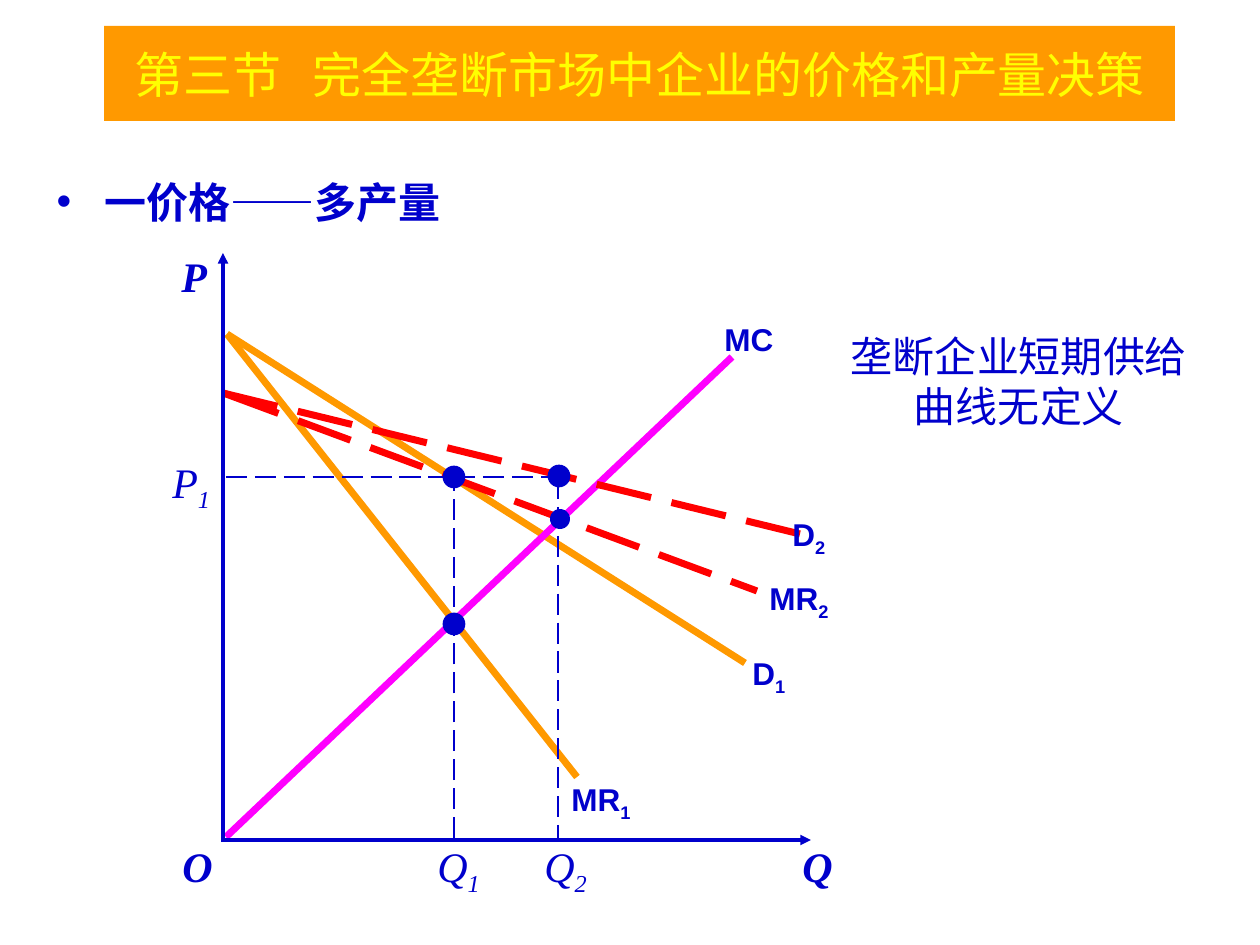
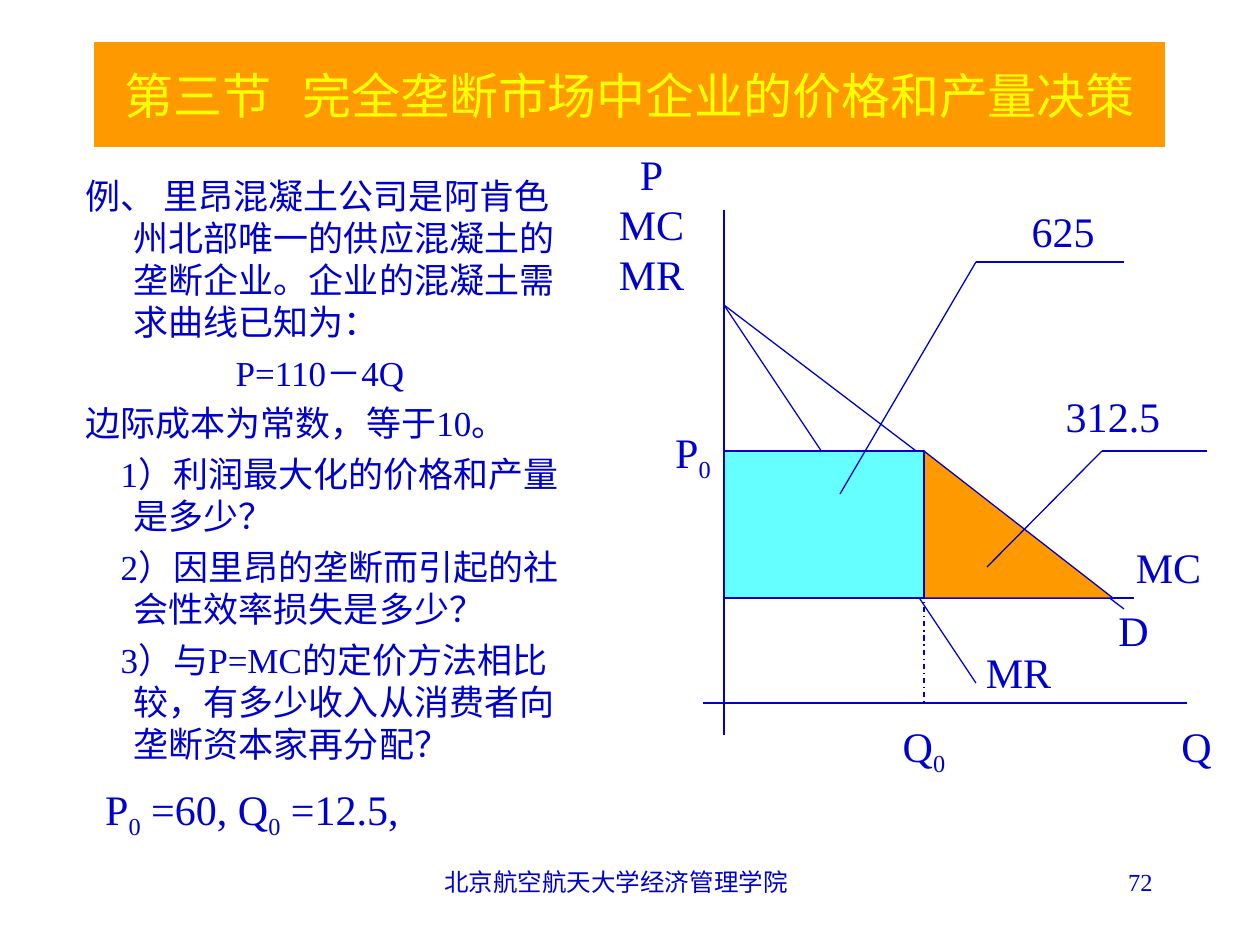
from dataclasses import dataclass
from itertools import pairwise
from typing import NamedTuple

from lxml import etree
from pptx import Presentation
from pptx.dml.color import RGBColor
from pptx.enum import dml, shapes, text
from pptx.oxml import ns
from pptx.util import Emu, Pt

EMU_PER_PX = 914400 / 126
LEFT, CENTER, RIGHT = text.PP_ALIGN.LEFT, text.PP_ALIGN.CENTER, text.PP_ALIGN.RIGHT
LONG_DASH, DASH_DOT = dml.MSO_LINE.LONG_DASH, dml.MSO_LINE.DASH_DOT


@dataclass(frozen=True)
class Theme:
    ink: str = "0000CC"
    band: str = "FF9900"
    heading: str = "FFFF00"
    shifted: str = "FF0000"
    cost: str = "FF00FF"
    profit: str = "66FFFF"
    serif: str = "Times New Roman"
    sans: str = "Arial"
    title_size: int = 28
    large: int = 24
    reading: int = 20
    curve_name: int = 18
    footer: int = 14
    curve: float = 4
    axis: float = 2
    guide: float = 1.5
    thin: float = 0.75


THEME = Theme()


class Box(NamedTuple):
    left: int
    top: int
    width: int
    height: int


class Style(NamedTuple):
    size: int = THEME.large
    font: str = THEME.serif
    color: str = THEME.ink
    bold: bool = False
    italic: bool = False


class Stroke(NamedTuple):
    color: str = THEME.ink
    width: float = THEME.thin
    dash: dml.MSO_LINE | None = None
    arrow: bool = False


class Route(NamedTuple):
    points: tuple
    stroke: Stroke = Stroke()


class Label(NamedTuple):
    words: str
    box: Box
    style: Style = Style()
    align: text.PP_ALIGN = LEFT
    wrap: bool = False


class Area(NamedTuple):
    preset: shapes.MSO_SHAPE
    box: Box
    fill: str
    outline: float = 0


class Entry(NamedTuple):
    words: str
    margin: int = 48
    indent: int = -48
    bullet: str = ""


def px(length: float) -> Emu:
    return Emu(round(length * EMU_PER_PX))


def rgb(color: str) -> RGBColor:
    return RGBColor.from_string(color)


def add_child(parent, tag: str, **attributes):
    return etree.SubElement(parent, ns.qn(tag), attributes)


def place(shape, box: Box) -> None:
    shape.left, shape.top, shape.width, shape.height = map(px, box)


def add_run(paragraph, words: str, style: Style):
    run = paragraph.add_run()
    run.text = words
    font = run.font
    font.name, font.size = style.font, Pt(style.size)
    font.bold, font.italic = style.bold, style.italic
    font.color.rgb = rgb(style.color)
    return run


def add_marked_runs(paragraph, words: str, style: Style) -> None:
    for position, part in enumerate(words.split("_")):
        run = add_run(paragraph, part, style)
        if position % 2:
            run.font._element.set("baseline", "-25000")


def draw_label(slide, label: Label) -> None:
    frame = slide.shapes.add_textbox(*map(px, label.box)).text_frame
    frame.word_wrap = label.wrap
    if not label.wrap:
        frame.auto_size = text.MSO_AUTO_SIZE.SHAPE_TO_FIT_TEXT
    for position, line in enumerate(label.words.split("\n")):
        paragraph = frame.add_paragraph() if position else frame.paragraphs[0]
        paragraph.alignment = label.align
        add_marked_runs(paragraph, line, label.style)


def draw_route(slide, route: Route) -> None:
    stroke = route.stroke
    for start, end in pairwise(route.points):
        segment = slide.shapes.add_connector(
            shapes.MSO_CONNECTOR.STRAIGHT, *map(px, start + end))
        line = segment.line
        line.color.rgb = rgb(stroke.color)
        line.width = Pt(stroke.width)
        if stroke.dash:
            line.dash_style = stroke.dash
        if stroke.arrow:
            add_child(line._get_or_add_ln(), "a:tailEnd", type="triangle")
        add_child(segment._element.spPr, "a:effectLst")


def draw_area(slide, area: Area) -> None:
    region = slide.shapes.add_shape(area.preset, *map(px, area.box))
    region.shadow.inherit = False
    region.fill.solid()
    region.fill.fore_color.rgb = rgb(area.fill)
    if area.outline:
        region.line.color.rgb = rgb(THEME.ink)
        region.line.width = Pt(area.outline)
    else:
        region.line.fill.background()


def dot(x: int, y: int, size: int = 21, outline: float = 1) -> Area:
    corner = size / 2
    return Area(shapes.MSO_SHAPE.OVAL, Box(x - corner, y - corner, size, size), THEME.ink, outline)


def draw_all(slide, items: tuple) -> None:
    painters = {Route: draw_route, Area: draw_area, Label: draw_label}
    for item in items:
        painters[type(item)](slide, item)


def fill_title(slide, box: Box) -> None:
    heading = slide.shapes.title
    place(heading, box)
    heading.fill.solid()
    heading.fill.fore_color.rgb = rgb(THEME.band)
    frame = heading.text_frame
    frame.auto_size = text.MSO_AUTO_SIZE.NONE
    frame.vertical_anchor = text.MSO_ANCHOR.MIDDLE
    paragraph = frame.paragraphs[0]
    paragraph.alignment = CENTER
    style = Style(THEME.title_size, color=THEME.heading)
    add_run(paragraph, "第三节", style)
    gap = add_run(paragraph, " ", style)
    gap.font._element.set("spc", "1200")
    add_run(paragraph, "完全垄断市场中企业的价格和产量决策", style)


def fill_body(slide, box: Box, entries: tuple, style: Style) -> None:
    body = slide.placeholders[1]
    place(body, box)
    frame = body.text_frame
    frame.auto_size = text.MSO_AUTO_SIZE.NONE
    for position, entry in enumerate(entries):
        paragraph = frame.add_paragraph() if position else frame.paragraphs[0]
        properties = paragraph._p.get_or_add_pPr()
        properties.set("marL", str(px(entry.margin)))
        properties.set("indent", str(px(entry.indent)))
        if entry.bullet:
            add_child(properties, "a:buChar", char=entry.bullet)
        else:
            add_child(properties, "a:buNone")
        paragraph.space_before = Pt(5 if position else 0)
        add_run(paragraph, entry.words, style)


def build_supply_slide(slide) -> None:
    fill_title(slide, Box(104, 26, 1071, 95))
    fill_body(slide, Box(44, 170, 1029, 74), (Entry("一价格——多产量", bullet="•"),),
              Style(bold=True))
    curve_name = Style(THEME.curve_name, THEME.sans, bold=True)
    axis_name = Style(bold=True, italic=True)
    tick_name = Style(italic=True)
    first = Stroke(THEME.band, THEME.curve)
    second = Stroke(THEME.shifted, THEME.curve, LONG_DASH)
    axis = Stroke(width=THEME.axis, arrow=True)
    guide = Stroke(width=THEME.guide, dash=LONG_DASH)
    draw_all(slide, (
        Route(((227, 334), (745, 663)), first),
        Label("D_1", Box(740, 648, 58, 55), curve_name),
        Route(((227, 334), (577, 777)), first),
        Label("MR_1", Box(559, 774, 86, 55), curve_name),
        Route(((226, 837), (732, 357)), Stroke(THEME.cost, THEME.curve)),
        Label("MC", Box(712, 314, 76, 50), curve_name),
        Route(((226, 394), (757, 591)), second),
        Label("MR_2", Box(757, 573, 86, 55), curve_name),
        Route(((223, 393), (800, 534)), second),
        Label("D_2", Box(780, 509, 58, 55), curve_name),
        Route(((223, 842), (223, 253)), axis),
        Route(((222, 840), (811, 840)), axis),
        Label("Q", Box(790, 834, 56, 63), axis_name),
        Label("P", Box(169, 244, 50, 63), axis_name, RIGHT),
        Label("O", Box(170, 834, 56, 63), axis_name),
        dot(454, 624),
        Route(((226, 477), (452, 477)), guide),
        Route(((454, 838), (454, 484)), guide),
        Label("P_1", Box(160, 450, 64, 69), tick_name),
        dot(454, 477),
        Label("Q_1", Box(425, 834, 69, 69), tick_name),
        Label("Q_2", Box(532, 834, 69, 69), tick_name),
        Route(((558, 478), (558, 838)), guide),
        Route(((454, 477), (557, 477)), guide),
        dot(559, 476),
        dot(560, 519, 20, 0),
        Label("垄断企业短期供给\n曲线无定义", Box(829, 324, 380, 113), align=CENTER),
    ))


def build_example_slide(slide) -> None:
    fill_title(slide, Box(94, 42, 1071, 105))
    question = {"margin": 48, "indent": -13}
    fill_body(slide, Box(73, 168, 514, 598), (
        Entry("例、 里昂混凝土公司是阿肯色州北部唯一的供应混凝土的垄断企业。企业的混凝土需求曲线已知为："),
        Entry("P=110－4Q", 150, 0),
        Entry("边际成本为常数，等于10。"),
        Entry("1）利润最大化的价格和产量是多少？", **question),
        Entry("2）因里昂的垄断而引起的社会性效率损失是多少？", **question),
        Entry("3）与P=MC的定价方法相比较，有多少收入从消费者向垄断资本家再分配？", **question),
    ), Style(THEME.reading))
    footer = Style(THEME.footer)
    guide = Stroke(dash=DASH_DOT)
    draw_all(slide, (
        Label("北京航空航天大学经济管理学院", Box(416, 861, 400, 63), footer, CENTER, True),
        Label("72", Box(903, 861, 262, 63), footer, RIGHT, True),
        Route(((724, 210), (724, 735))),
        Route(((703, 703), (1187, 703))),
        Route(((724, 598), (1134, 598))),
        Route(((724, 305), (1124, 609))),
        Route(((724, 305), (976, 683))),
        Route(((924, 451), (924, 703)), guide),
        Route(((924, 451), (724, 451)), guide),
        Label("P_0", Box(656, 420, 74, 70), align=CENTER),
        Label("Q_0", Box(886, 714, 76, 70), align=CENTER),
        Label("P\nMC\nMR", Box(604, 142, 95, 164), align=CENTER),
        Label("Q", Box(1167, 714, 59, 63), align=CENTER),
        Label("D", Box(1104, 598, 59, 63), align=CENTER),
        Label("MR", Box(971, 640, 95, 63), align=CENTER),
        Label("MC", Box(1121, 535, 95, 63), align=CENTER),
        Area(shapes.MSO_SHAPE.RIGHT_TRIANGLE, Box(924, 451, 189, 147), THEME.band, THEME.thin),
        Area(shapes.MSO_SHAPE.RECTANGLE, Box(724, 451, 200, 147), THEME.profit, THEME.thin),
        Label("P_0_ =60, Q_0_ =12.5,", Box(88, 777, 328, 70), align=CENTER),
        Route(((987, 567), (1102, 451), (1207, 451))),
        Route(((840, 494), (976, 262), (1124, 262))),
        Label("312.5", Box(1051, 384, 124, 63), align=CENTER),
        Label("625", Box(1016, 199, 94, 63), align=CENTER),
    ))


def main() -> None:
    deck = Presentation()
    deck.slide_width, deck.slide_height = px(1260), px(945)
    layout = deck.slide_layouts[1]
    for build in (build_supply_slide, build_example_slide):
        build(deck.slides.add_slide(layout))
    deck.save("out.pptx")


if __name__ == "__main__":
    main()
